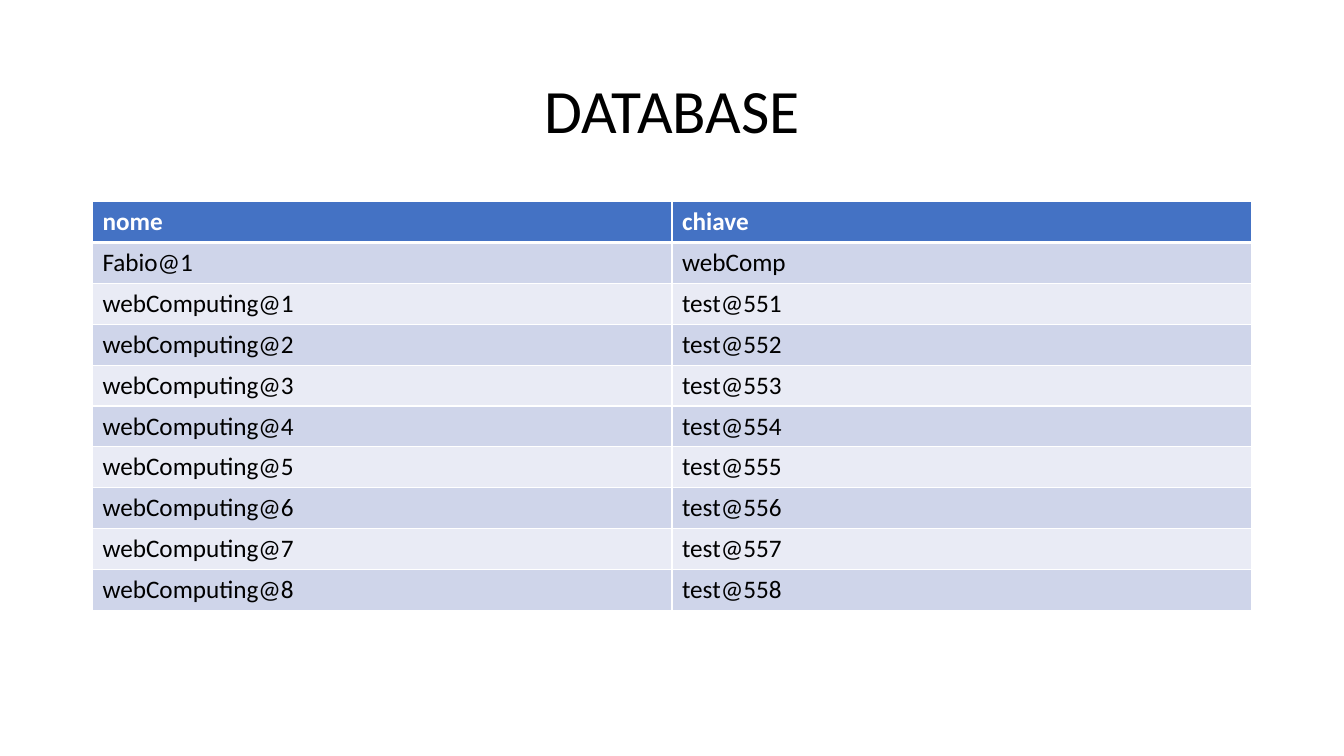
from lxml import etree
from pptx import Presentation
from pptx import util as u
from pptx.dml import color
from pptx.enum import text
from pptx.oxml import ns

HUES = {"ink": "000000", "paper": "FFFFFF", "head": "4472C4",
        "odd": "CFD5EA", "even": "E9EBF5"}


class Deck:
    """Hold the text style and the current slide, and add elements to it."""

    def __init__(self, slide, font, hues):
        self.slide, self.font, self.hues = slide, font, hues

    def tint(self, name):
        return color.RGBColor.from_string(self.hues[name])

    def label(self, para, words, size, hue, bold=False):
        run = para.add_run()
        run.text = words
        run.font.name = self.font
        run.font.size = u.Pt(size)
        run.font.bold = bold
        run.font.color.rgb = self.tint(hue)

    def title(self, words, box, size):
        frame = self.slide.shapes.add_textbox(*map(u.Cm, box)).text_frame
        frame.word_wrap = True
        frame.vertical_anchor = text.MSO_ANCHOR.MIDDLE
        para = frame.paragraphs[0]
        para.alignment = text.PP_ALIGN.CENTER
        para.line_spacing = 0.9
        self.label(para, words, size, "ink")

    def edge(self, cell, side, width):
        props = cell._tc.get_or_add_tcPr()
        line = etree.SubElement(props, ns.qn("a:ln" + side), w=str(u.Pt(width)))
        fill = etree.SubElement(line, ns.qn("a:solidFill"))
        etree.SubElement(fill, ns.qn("a:srgbClr"), val=self.hues["paper"])

    def table(self, rows, box, size):
        frame = self.slide.shapes.add_table(len(rows), len(rows[0]), *map(u.Cm, box))
        grid = frame.table
        grid.horz_banding = False
        for i, row in enumerate(rows):
            band = "head" if i == 0 else "odd" if i % 2 else "even"
            hue = "ink" if i else "paper"
            thick = {"T": 3 if i == 1 else 1, "B": 1 if i else 3}
            for j, words in enumerate(row):
                cell = grid.cell(i, j)
                for side in "LRTB":
                    self.edge(cell, side, thick.get(side, 1))
                cell.fill.solid()
                cell.fill.fore_color.rgb = self.tint(band)
                self.label(cell.text_frame.paragraphs[0], words, size, hue, i == 0)


show = Presentation()
show.slide_width, show.slide_height = u.Cm(33.87), u.Cm(19.05)
deck = Deck(show.slides.add_slide(show.slide_layouts[6]), "Calibri", HUES)

left, width = 2.33, 29.21
users = [("nome", "chiave"), ("Fabio@1", "webComp")]
users += [(f"webComputing@{n}", f"test@55{n}") for n in range(1, 9)]
deck.title("DATABASE", (left, 1.01, width, 3.68), 44)
deck.table(users, (left, 5.08, width, 1.03 * len(users)), 18)

show.save("out.pptx")
